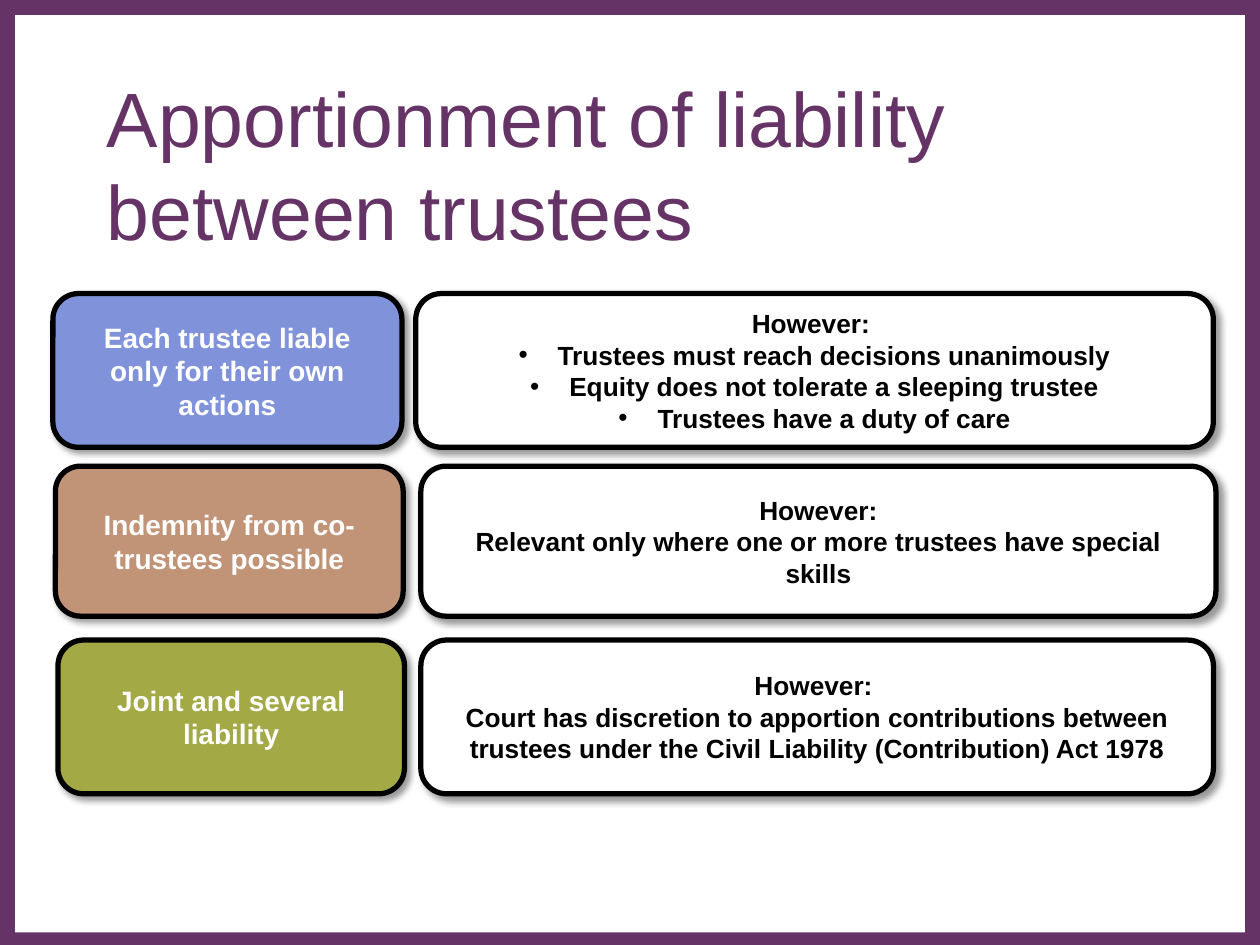
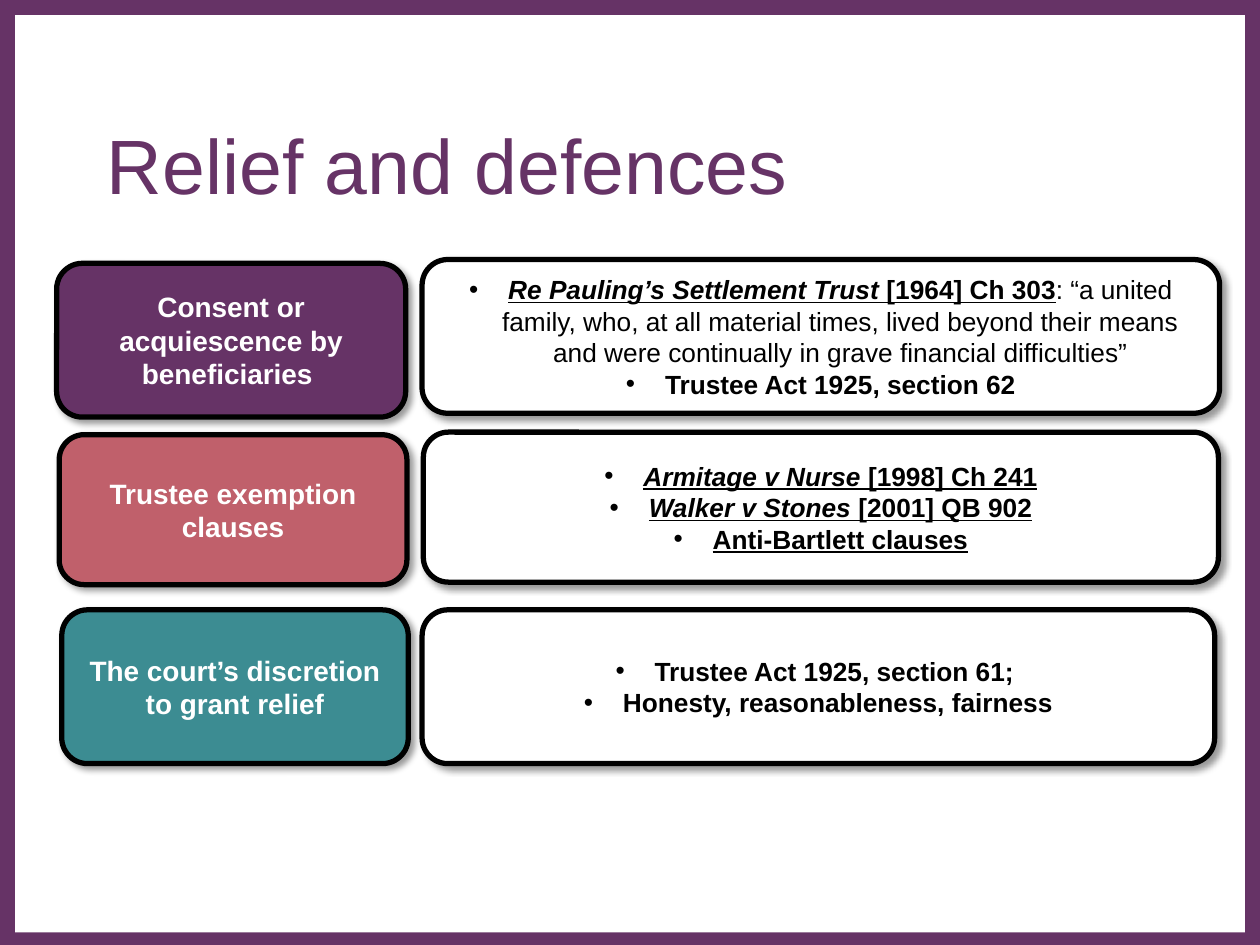
"""Build two slides on the liability of trustees and their defences."""
from dataclasses import dataclass
from typing import NamedTuple

from lxml.etree import SubElement
from pptx import Presentation
from pptx.dml.color import RGBColor
from pptx.enum.shapes import MSO_SHAPE
from pptx.enum.text import MSO_ANCHOR, PP_ALIGN
from pptx.oxml.ns import qn
from pptx.util import Inches, Pt


@dataclass(frozen=True)
class Theme:
    font: str = "Arial"
    plum: str = "663366"
    white: str = "FFFFFF"
    black: str = "000000"
    blue: str = "8093DA"
    tan: str = "C19377"
    olive: str = "A2A945"
    rose: str = "C0606B"
    teal: str = "3C8C92"
    title: int = 44
    label: int = 16
    note: int = 15
    edge: int = 3


class Box(NamedTuple):
    left: float
    top: float
    width: float
    height: float


class Span(NamedTuple):
    text: str
    style: str = "b"


class Line(NamedTuple):
    spans: tuple[Span, ...]
    dot: bool = False


class Row(NamedTuple):
    label: str
    fill: str
    left: float
    top: float
    lines: tuple[Line, ...]


class Page(NamedTuple):
    title: str
    left: float
    tops: tuple[float, ...]
    rows: tuple[Row, ...]


THEME = Theme()
HEIGHTS = (1.22, 1.19, 1.22)


def plain(text: str) -> Line:
    return Line((Span(text),))


def point(*spans: Span) -> Line:
    return Line(spans, True)


PAGES = (
    Page("Apportionment of liability between trustees", 0.42, (2.33, 3.7, 5.08), (
        Row("Each trustee liable only for their own actions", THEME.blue, 3.3, 2.33, (
            plain("However: "),
            point(Span("Trustees must reach decisions unanimously")),
            point(Span("Equity does not tolerate a sleeping trustee")),
            point(Span("Trustees have a duty of care")))),
        Row("Indemnity from co-trustees possible", THEME.tan, 3.34, 3.7, (
            plain("However:"),
            plain("Relevant only where one or more trustees have special skills"))),
        Row("Joint and several liability", THEME.olive, 3.34, 5.08, (
            plain("However: "),
            plain("Court has discretion to apportion contributions between trustees "
                  "under the Civil Liability (Contribution) Act 1978"))))),
    Page("Relief and defences", 0.45, (2.09, 3.45, 4.84), (
        Row("Consent or acquiescence by beneficiaries ", THEME.plum, 3.35, 2.06, (
            point(Span("Re Pauling’s Settlement Trust", "biu"),
                  Span(" [1964] Ch 303", "bu"),
                  Span(": “a united family, who, at all material times, lived beyond "
                       "their means and were continually in grave financial "
                       "difficulties”", "")),
            point(Span("Trustee Act 1925, section 62")))),
        Row("Trustee exemption clauses", THEME.rose, 3.36, 3.43, (
            point(Span("Armitage v Nurse ", "biu"), Span("[1998] Ch 241", "bu")),
            point(Span("Walker v Stones ", "biu"), Span("[2001] QB 902", "bu")),
            point(Span("Anti-Bartlett clauses", "bu")))),
        Row("The court’s discretion to grant relief", THEME.teal, 3.35, 4.84, (
            point(Span("Trustee Act 1925, section 61; ")),
            point(Span("Honesty, reasonableness, fairness")))))),
)


def place(box: Box) -> tuple:
    return tuple(Inches(side) for side in box)


def paint(shape, fill: str) -> None:
    shape.shadow.inherit = False
    shape.fill.solid()
    shape.fill.fore_color.rgb = RGBColor.from_string(fill)


def style(run, size: int, color: str, marks: str = "") -> None:
    font = run.font
    font.name, font.size = THEME.font, Pt(size)
    font.color.rgb = RGBColor.from_string(color)
    font.bold, font.italic, font.underline = (mark in marks for mark in "biu")


def write(frame, lines: tuple[Line, ...], size: int, color: str, align=PP_ALIGN.CENTER) -> None:
    frame.word_wrap = True
    frame.vertical_anchor = MSO_ANCHOR.MIDDLE
    for spot, line in enumerate(lines):
        para = frame.add_paragraph() if spot else frame.paragraphs[0]
        para.alignment = align
        if line.dot:
            add_dot(para)
        for span in line.spans:
            run = para.add_run()
            run.text = span.text
            style(run, size, color, span.style)


def add_dot(para) -> None:
    props = para._p.get_or_add_pPr()
    props.set("marL", str(Inches(0.31)))
    props.set("indent", str(-Inches(0.31)))
    tint = SubElement(props, qn("a:buClr"))
    SubElement(tint, qn("a:srgbClr"), val=THEME.black)
    SubElement(props, qn("a:buFont"), typeface=THEME.font)
    SubElement(props, qn("a:buChar"), char="•")


def add_shade(shape) -> None:
    effects = shape._element.spPr.find(qn("a:effectLst"))
    shade = SubElement(effects, qn("a:outerShdw"), blurRad=str(Pt(4)), dist=str(Pt(3)),
                       dir=str(45 * 60000), algn="tl", rotWithShape="0")
    tint = SubElement(shade, qn("a:srgbClr"), val=THEME.black)
    SubElement(tint, qn("a:alpha"), val="40000")


def add_card(slide, box: Box, fill: str, lines: tuple[Line, ...], size: int, color: str) -> None:
    card = slide.shapes.add_shape(MSO_SHAPE.ROUNDED_RECTANGLE, *place(box))
    card.adjustments[0] = 0.167
    paint(card, fill)
    card.line.color.rgb = RGBColor.from_string(THEME.black)
    card.line.width = Pt(THEME.edge)
    add_shade(card)
    write(card.text_frame, lines, size, color)


def add_frame(slide) -> None:
    for box, fill in ((Box(0, 0, 10, 7.5), THEME.plum), (Box(0.12, 0.12, 9.76, 7.28), THEME.white)):
        panel = slide.shapes.add_shape(MSO_SHAPE.RECTANGLE, *place(box))
        paint(panel, fill)
        panel.line.fill.background()


def add_page(deck, page: Page) -> None:
    slide = deck.slides.add_slide(deck.slide_layouts[6])
    add_frame(slide)
    title = slide.shapes.add_textbox(*place(Box(0.75, 0.67, 8.5, 1.25)))
    write(title.text_frame, (Line((Span(page.title, ""),)),), THEME.title, THEME.plum, PP_ALIGN.LEFT)
    for rank, (row, top, height) in enumerate(zip(page.rows, page.tops, HEIGHTS)):
        label = Box(page.left + 0.02 * rank, top, 2.77 - 0.01 * rank, height)
        add_card(slide, label, row.fill, (plain(row.label),), THEME.label, THEME.white)
        note = Box(row.left, row.top, 6.33 - 0.02 * rank, height)
        add_card(slide, note, THEME.white, row.lines, THEME.note, THEME.black)


def main() -> None:
    deck = Presentation()
    deck.slide_width, deck.slide_height = Inches(10), Inches(7.5)
    for page in PAGES:
        add_page(deck, page)
    deck.save("out.pptx")


if __name__ == "__main__":
    main()
